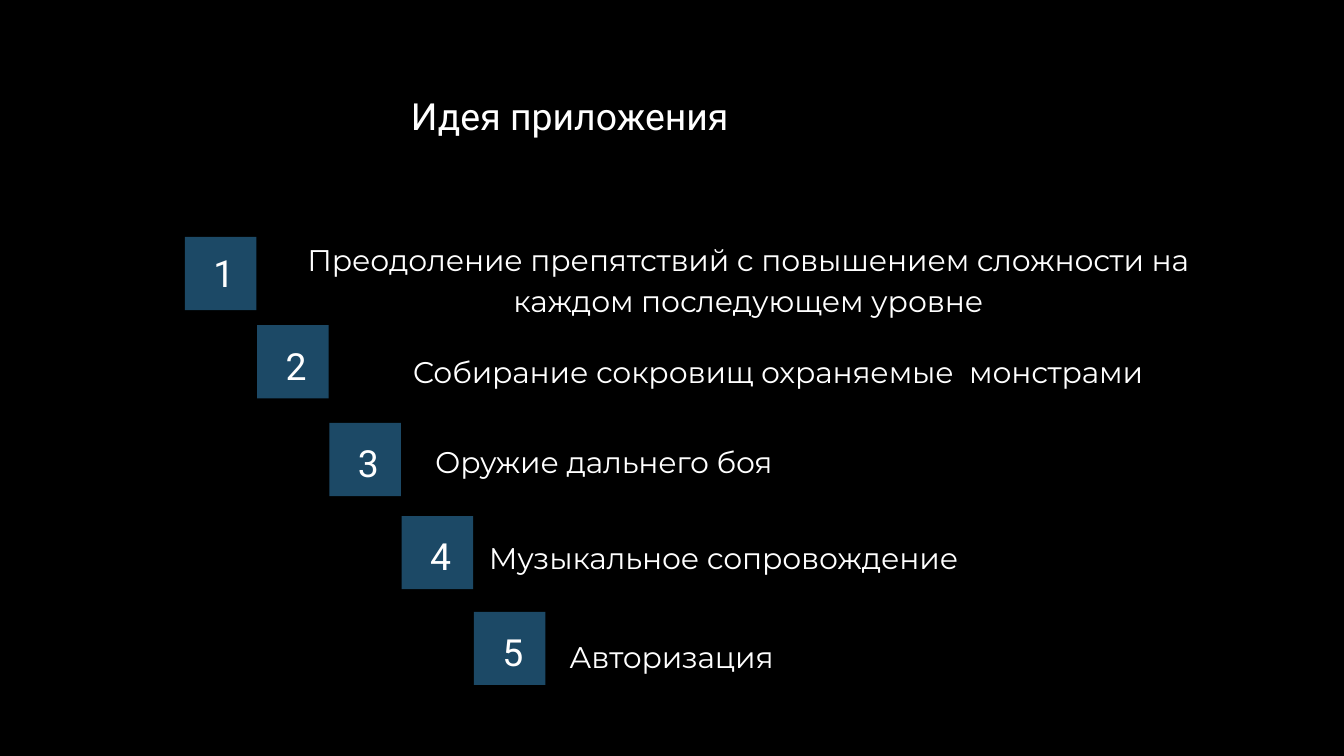
from pptx import Presentation
from pptx.dml.color import RGBColor
from pptx.enum.shapes import MSO_SHAPE as Shape
from pptx.enum.text import MSO_ANCHOR as Anchor, PP_ALIGN as Align
from pptx.util import Pt

BLACK = RGBColor(0x00, 0x00, 0x00)
WHITE = RGBColor(0xFF, 0xFF, 0xFF)
BLUE = RGBColor(0x1C, 0x49, 0x66)

HEADING = {"name": "Roboto", "size": Pt(20)}
BODY = {"name": "Montserrat", "size": Pt(16)}
HEADING_FRAME = {"margin_left": Pt(3.6), "margin_right": 0,
                 "margin_top": Pt(7.2), "margin_bottom": Pt(7.2)}
CENTERED_FRAME = {"margin_top": Pt(7.2), "margin_bottom": Pt(7.2),
                  "vertical_anchor": Anchor.MIDDLE}

presentation = Presentation()
presentation.slide_width = Pt(720)
presentation.slide_height = Pt(405)
slide = presentation.slides.add_slide(presentation.slide_layouts[6])
slide.background.fill.solid()
slide.background.fill.fore_color.rgb = BLACK


def add_text(text, bounds, font, frame_format, align):
    frame = slide.shapes.add_textbox(*map(Pt, bounds)).text_frame
    frame.word_wrap = True
    for attribute, value in frame_format.items():
        setattr(frame, attribute, value)
    paragraph = frame.paragraphs[0]
    paragraph.alignment = align
    run = paragraph.add_run()
    run.text = text
    for attribute, value in font.items():
        setattr(run.font, attribute, value)
    run.font.color.rgb = WHITE
    return paragraph


add_text("Идея приложения", (0, 42.5, 607, 26), HEADING, HEADING_FRAME, Align.CENTER)

ideas = [
    ("Преодоление препятствий с повышением сложности на каждом последующем уровне",
     126.9, 126.7, (141, 125.8, 510, 45.4), True),
    ("Собирание сокровищ охраняемые  монстрами",
     174.2, 176.4, (171.4, 175, 481, 45.4), True),
    ("Оружие дальнего боя", 226.6, 228.8, (226, 234, 360, 26.6), False),
    ("Музыкальное сопровождение", 276.5, 278.6, (254.8, 285.4, 360, 26.6), False),
    ("Авторизация", 327.8, 329.8, (298, 338.4, 360, 26.6), False),
]

for index, (idea, square_top, number_top, bounds, centered) in enumerate(ideas):
    left = 99 + 38.7 * index
    square = slide.shapes.add_shape(
        Shape.RECTANGLE, Pt(left), Pt(square_top), Pt(38.4), Pt(39.2))
    square.shadow.inherit = False
    square.fill.solid()
    square.fill.fore_color.rgb = BLUE
    square.line.fill.background()

    add_text(str(index + 1), (left + 1.2, number_top, 36, 29),
             HEADING, HEADING_FRAME, Align.CENTER)

    paragraph = add_text(idea, bounds, BODY, CENTERED_FRAME if centered else {},
                         Align.CENTER if centered else Align.LEFT)
    paragraph.runs[0].font._element.set("spc", "-5")
    if centered:
        paragraph.line_spacing = 1.15
        paragraph._p.get_or_add_pPr().set("marL", str(Pt(10)))

presentation.save("out.pptx")
